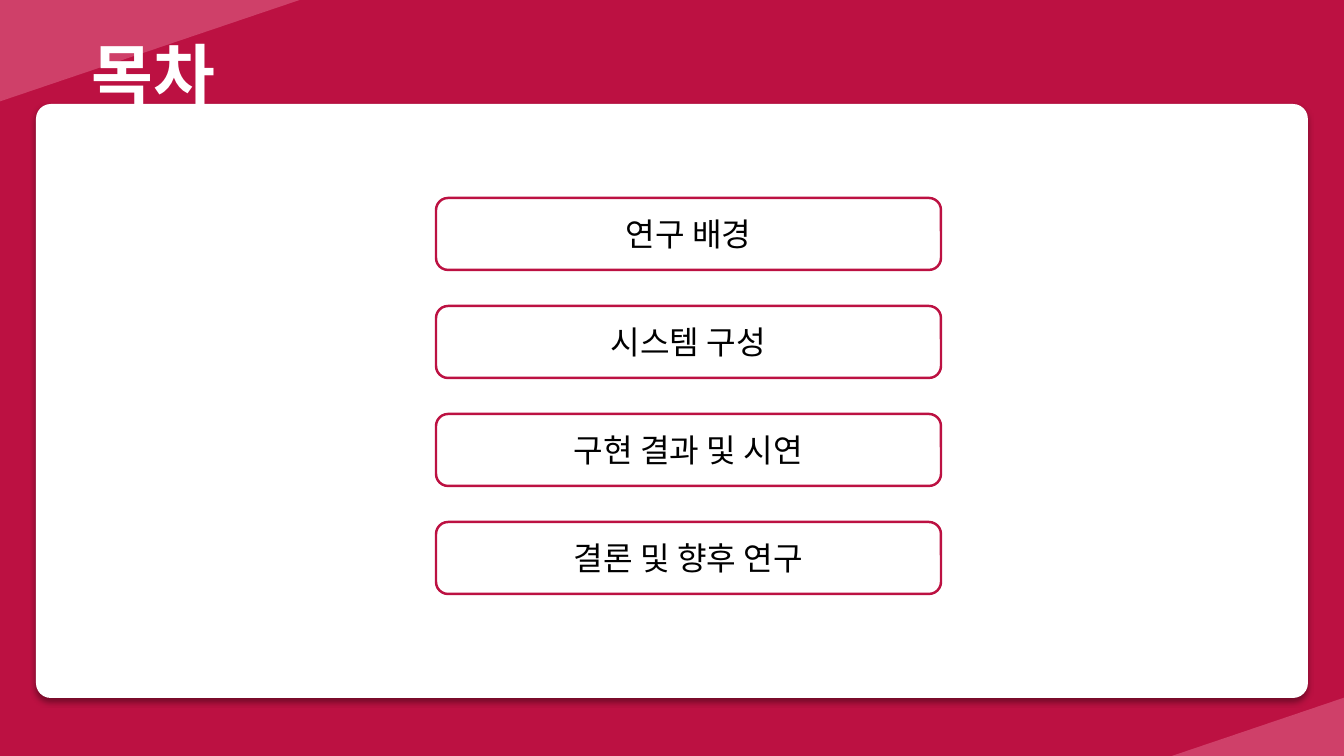
import pptx
import pptx.util
import pptx.dml.color
import pptx.enum.shapes
import pptx.enum.text
import pptx.oxml
import pptx.oxml.ns

# Content
TITLE = "목차"
TOPICS = ["연구 배경", "시스템 구성", "구현 결과 및 시연", "결론 및 향후 연구"]

# Style
FONT = "Noto Sans CJK KR"
COLORS = {"red": "BC1142", "pink": "F69CB6", "white": "FFFFFF", "black": "000000"}
KINDS = pptx.enum.shapes.MSO_SHAPE
NS = pptx.oxml.ns.nsdecls("a")

# Layout in px
WIDTH, HEIGHT = 1344, 756
CARD = (36, 104, 1272, 594)
HEAD = (52, 28, 203, 92)
COVER = (110, 104, 112, 24)
BAND_SIZE = (436, 190)
BAND_TOP, BAND_END = (-126, -125), (1126, 703)
TOPIC_LEFT, TOPIC_TOP, TOPIC_STEP = 436, 198, 108
TOPIC_SIZE = (505, 72)


def px(n):
    return pptx.util.Emu(round(n * 914400 / 100.8))


def color(name):
    return pptx.dml.color.RGBColor.from_string(COLORS[name])


def draw(kind, box, fill):
    shape = slide.shapes.add_shape(kind, *map(px, box))
    shape.shadow.inherit = False
    shape.fill.solid()
    shape.fill.fore_color.rgb = color(fill)
    shape.line.fill.background()
    return shape


def write(shape, text, size, ink, bold=False):
    para = shape.text_frame.paragraphs[0]
    para.text = text
    para.alignment = pptx.enum.text.PP_ALIGN.CENTER
    font = para.font
    font.name, font.size, font.bold = FONT, pptx.util.Pt(size), bold
    font.color.rgb = color(ink)


def band(spot):
    shape = draw(KINDS.RECTANGLE, spot + BAND_SIZE, "pink")
    shape.rotation = 341.3
    tint = shape.fill._xPr.find(".//" + pptx.oxml.ns.qn("a:srgbClr"))
    tint.append(pptx.oxml.parse_xml(f'<a:alpha {NS} val="34000"/>'))


deck = pptx.Presentation()
deck.slide_width, deck.slide_height = px(WIDTH), px(HEIGHT)
slide = deck.slides.add_slide(deck.slide_layouts[6])
slide.background.fill.solid()
slide.background.fill.fore_color.rgb = color("red")

# Card with soft shadow
card = draw(KINDS.ROUNDED_RECTANGLE, CARD, "white")
card.adjustments[0] = 0.025
glow = card._element.spPr.find(pptx.oxml.ns.qn("a:effectLst"))
glow.append(pptx.oxml.parse_xml(
    f'<a:outerShdw {NS} blurRad="50800" dist="38100" dir="5400000" algn="t" rotWithShape="0">'
    f'<a:srgbClr val="{COLORS["black"]}"><a:alpha val="38000"/></a:srgbClr></a:outerShdw>'))

# Topic boxes
for i, topic in enumerate(TOPICS):
    spot = (TOPIC_LEFT, TOPIC_TOP + i * TOPIC_STEP)
    box = draw(KINDS.ROUNDED_RECTANGLE, spot + TOPIC_SIZE, "white")
    box.line.color.rgb = color("red")
    box.line.width = pptx.util.Pt(1.75)
    box.text_frame.vertical_anchor = pptx.enum.text.MSO_ANCHOR.MIDDLE
    write(box, topic, 23, "black")

# Title between the corner bands
band(BAND_TOP)
head = slide.shapes.add_textbox(*map(px, HEAD))
head.text_frame.word_wrap = True
head.text_frame.auto_size = pptx.enum.text.MSO_AUTO_SIZE.SHAPE_TO_FIT_TEXT
write(head, TITLE, 48, "white", True)
band(BAND_END)

# Cover over the foot of the title
draw(KINDS.RECTANGLE, COVER, "white")

deck.save("out.pptx")
